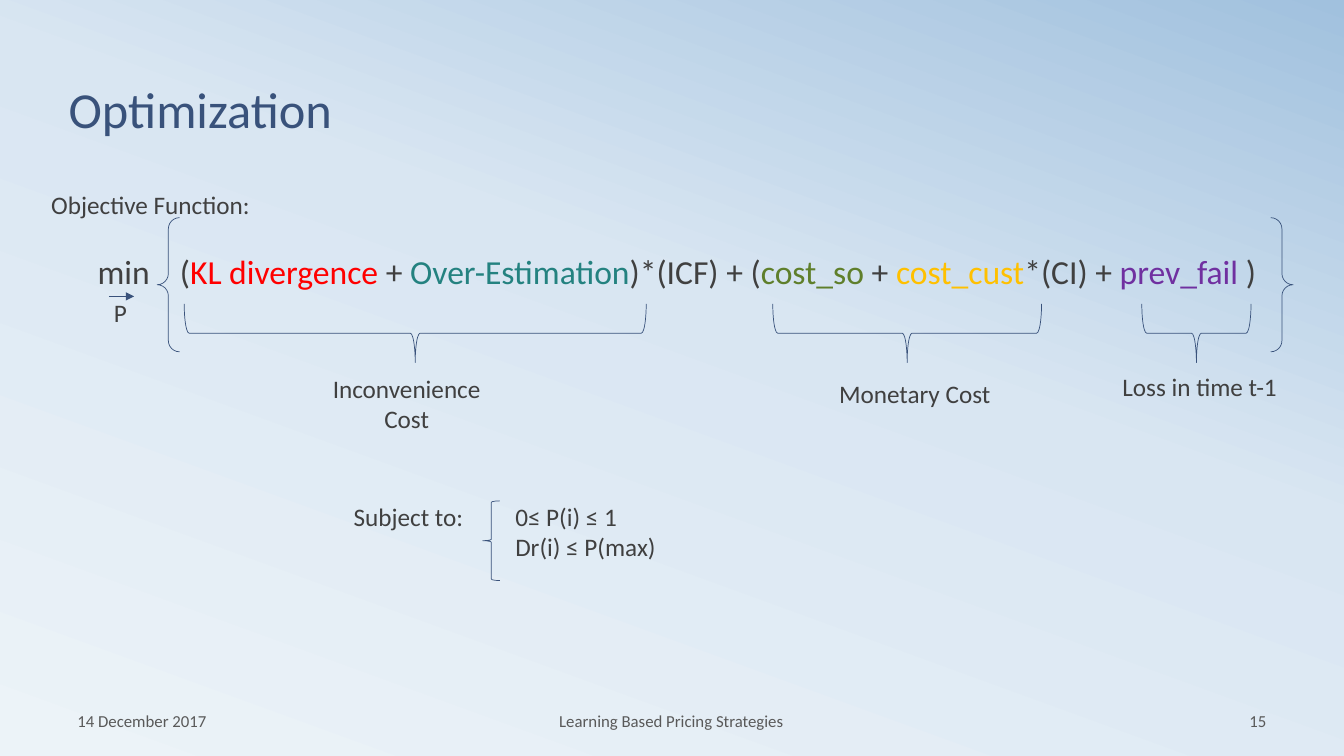
"""Build the slide on the optimization objective of a pricing strategy."""
from copy import deepcopy

from lxml.etree import SubElement
from pptx import Presentation
from pptx.dml.color import RGBColor
from pptx.enum.shapes import MSO_CONNECTOR, MSO_SHAPE
from pptx.enum.text import MSO_ANCHOR as Anchor, PP_ALIGN as Align
from pptx.oxml.ns import qn
from pptx.util import Pt

FONT = "Calibri"
NAVY = RGBColor(0x39, 0x52, 0x7B)
INK = RGBColor(0x40, 0x40, 0x40)
GREY = RGBColor(0x59, 0x59, 0x59)
RED = RGBColor(0xFF, 0x00, 0x00)
TEAL = RGBColor(0x24, 0x82, 0x80)
GREEN = RGBColor(0x5F, 0x7F, 0x2B)
AMBER = RGBColor(0xFF, 0xC0, 0x00)
PURPLE = RGBColor(0x70, 0x30, 0xA0)
BACKDROP = [
    (0, RGBColor(0xEC, 0xF3, 0xF8)),
    (0.58, RGBColor(0xD9, 0xE6, 0xF2)),
    (1, RGBColor(0xA1, 0xC1, 0xDE)),
]

OBJECTIVE = [
    ("(", INK), ("KL divergence ", RED), ("+ ", INK), ("Over-Estimation", TEAL),
    (")*(ICF) + (", INK), ("cost_so ", GREEN), ("+ ", INK), ("cost_cust", AMBER),
    ("*(CI) + ", INK), ("prev_fail ", PURPLE), (")", INK),
]
TERMS = [
    ("Inconvenience Cost", 224.6, 262.8, 296.6, 330),
    ("Monetary Cost", 587.5, 267, 648, 192),
    ("Loss in time t-1", 791, 262, 854.6, 78),
]
FOOTER = [
    ("14 December 2017", 48.2, 224, Align.LEFT),
    ("Learning Based Pricing Strategies", 327.6, 304, Align.CENTER),
    ("15", 687.6, 224, Align.RIGHT),
]
BRACE_MIDDLE = 238
BRACE_DEPTH = 42


def paint_background(slide):
    """Fill the slide with the diagonal blue gradient."""
    fill = slide.background.fill
    fill.gradient()
    first = fill.gradient_stops[0]._gs
    first.addnext(deepcopy(first))
    for stop, (position, color) in zip(fill.gradient_stops, BACKDROP):
        stop.color.rgb = color
        stop.position = position
    fill.gradient_angle = 70


def add_span(para, text, size, color):
    """Add one formatted run to a paragraph."""
    span = para.add_run()
    span.text = text
    span.font.name = FONT
    span.font.size = Pt(size)
    span.font.color.rgb = color


def add_text(slide, lines, left, top, width, height=29, size=18,
             align=Align.LEFT, anchor=Anchor.TOP):
    """Add a text box whose lines are lists of (text, color) spans."""
    box = slide.shapes.add_textbox(Pt(left), Pt(top), Pt(width), Pt(height))
    frame = box.text_frame
    frame.word_wrap = True
    frame.vertical_anchor = anchor
    for index, spans in enumerate(lines):
        para = frame.add_paragraph() if index else frame.paragraphs[0]
        para.alignment = align
        for text, color in spans:
            add_span(para, text, size, color)


def add_brace(slide, kind, left, top, width, height, rotation=0):
    """Add a thin unfilled brace."""
    brace = slide.shapes.add_shape(kind, Pt(left), Pt(top), Pt(width), Pt(height))
    brace.rotation = rotation
    brace.shadow.inherit = False
    brace.fill.background()
    brace.line.color.rgb = NAVY
    brace.line.width = Pt(0.5)


def add_arrow(slide, left, right, level):
    """Add a horizontal arrow pointing right."""
    arrow = slide.shapes.add_connector(
        MSO_CONNECTOR.STRAIGHT, Pt(left), Pt(level), Pt(right), Pt(level))
    arrow.line.color.rgb = NAVY
    arrow.line.width = Pt(0.5)
    SubElement(arrow.line._get_or_add_ln(), qn("a:tailEnd"), type="triangle")
    SubElement(arrow._element.spPr, qn("a:effectLst"))


def set_title(slide, text):
    """Place and format the title placeholder."""
    title = slide.shapes.title
    title.left, title.top, title.width, title.height = Pt(41.8), Pt(18), Pt(864), Pt(84.2)
    title.text_frame.vertical_anchor = Anchor.BOTTOM
    para = title.text_frame.paragraphs[0]
    para.alignment = Align.LEFT
    para.line_spacing = 0.8
    add_span(para, text, 36, NAVY)


def add_objective(slide):
    """Add the objective function with its braces and term labels."""
    add_text(slide, [[("Objective Function:", INK)]], 29.5, 131.8, 200)
    add_text(slide, [[("min", INK)]], 62.6, 175.7, 60, 36, 24)
    add_text(slide, [OBJECTIVE], 121.4, 175.7, 802, 36, 24)
    add_text(slide, [[("P", INK)]], 74.2, 208.8, 66)
    add_arrow(slide, 77.8, 95.8, 211.7)
    add_brace(slide, MSO_SHAPE.DOUBLE_BRACE, 112.3, 155.5, 811.4, 95.8)
    for label, left, top, center, extent in TERMS:
        add_brace(slide, MSO_SHAPE.LEFT_BRACE, center - BRACE_DEPTH / 2,
                  BRACE_MIDDLE - extent / 2, BRACE_DEPTH, extent, 270)
        add_text(slide, [[(label, INK)]], left, top, 131.8, align=Align.CENTER)


def add_constraints(slide):
    """Add the constraints that the optimization is subject to."""
    add_text(slide, [[("Subject to:", INK)]], 245.5, 354.6, 100)
    add_brace(slide, MSO_SHAPE.LEFT_BRACE, 344.9, 357.8, 12.2, 56.9)
    add_text(slide, [[("0≤ P(i) ≤ 1", INK)], [("Dr(i) ≤ P(max)", INK)]],
             361, 354.6, 200, 51)


def main():
    """Build the deck and save it."""
    deck = Presentation()
    deck.slide_width, deck.slide_height = Pt(960), Pt(540)
    page = deck.slides.add_slide(deck.slide_layouts[5])
    paint_background(page)
    set_title(page, "Optimization")
    add_objective(page)
    add_constraints(page)
    for text, left, width, align in FOOTER:
        add_text(page, [[(text, GREY)]], left, 500.4, width, 28.8, 12, align, Anchor.MIDDLE)
    deck.save("out.pptx")


if __name__ == "__main__":
    main()
